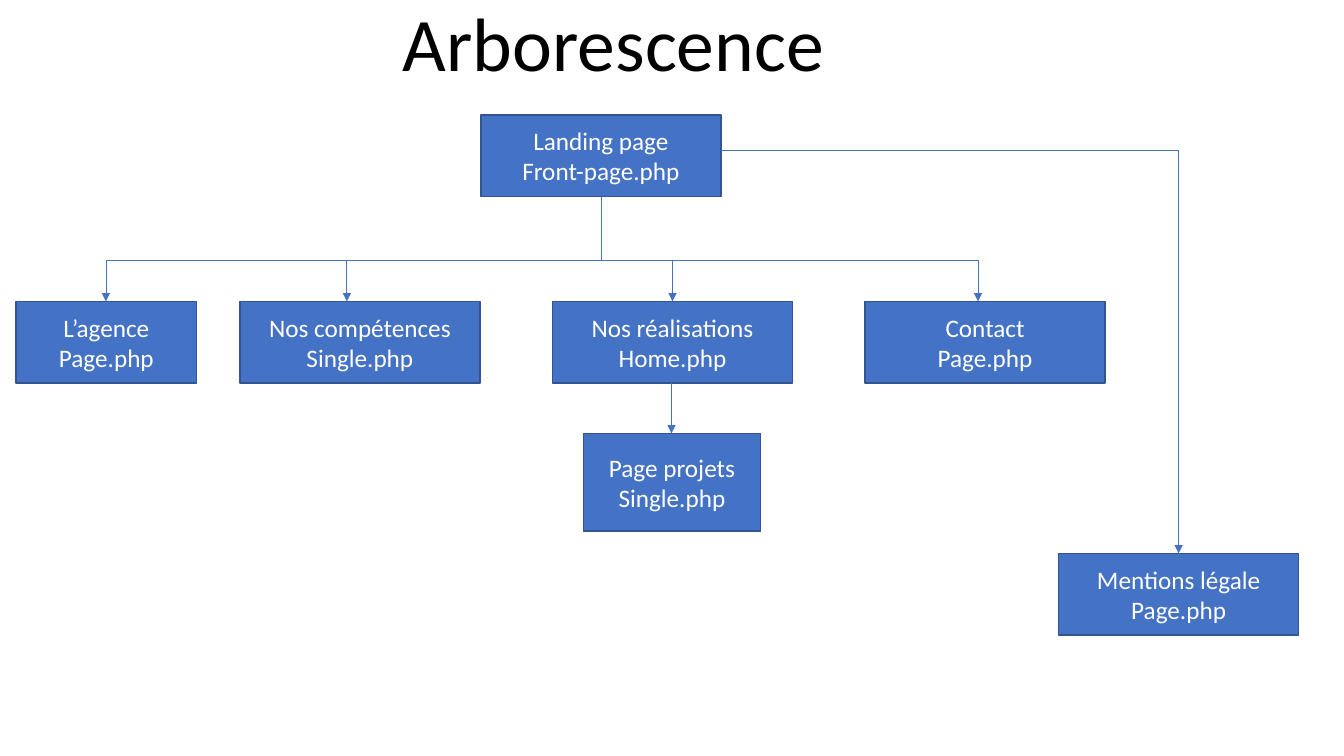
"""Build the site tree slide: page boxes joined by lines and arrows."""
import itertools

import pptx
import pptx.dml.color
import pptx.enum.shapes
import pptx.enum.text
import pptx.oxml
import pptx.oxml.ns
import pptx.util

Inches = pptx.util.Inches
FONT = "Calibri"
COLORS = {"fill": "4472C4", "border": "325491", "title": "000000", "label": "FFFFFF"}
TITLE = "Arborescence "

WIDTH, HEIGHT = 2.38, 0.81
MENU_TOP, BAR_TOP = 2.99, 2.58
LEGAL_TOP, LEGAL_CENTER, LEGAL_LINE_TOP = 5.49, 11.69, 1.49
LANDING_LEFT, LANDING_TOP = 4.77, 1.14
PROJECT_TOP, PROJECT_CENTER = 4.3, 6.66

PAGES = [
    (("Landing page", "Front-page.php"), LANDING_LEFT, LANDING_TOP, WIDTH, HEIGHT),
    (("L’agence", "Page.php"), 0.16, MENU_TOP, 1.79, HEIGHT),
    (("Nos compétences", "Single.php"), 2.38, MENU_TOP, WIDTH, HEIGHT),
    (("Nos réalisations", "Home.php"), 5.48, MENU_TOP, WIDTH, HEIGHT),
    (("Contact", "Page.php"), 8.58, MENU_TOP, WIDTH, HEIGHT),
    (("Page projets", "Single.php"), 5.79, PROJECT_TOP, 1.75, 0.97),
    (("Mentions légale", "Page.php"), 10.5, LEGAL_TOP, WIDTH, HEIGHT),
]
MENU_DROPS = [1.05, 3.44, 6.67, 9.7]


def color(name):
    return pptx.dml.color.RGBColor.from_string(COLORS[name])


def write(shape, lines, size, ink, anchor, spacing=1.0):
    frame = shape.text_frame
    frame.word_wrap = True
    frame.auto_size = pptx.enum.text.MSO_AUTO_SIZE.NONE
    frame.vertical_anchor = anchor
    frame.text = "\n".join(lines)
    for para in frame.paragraphs:
        para.alignment = pptx.enum.text.PP_ALIGN.CENTER
        para.line_spacing = spacing
        for span in para.runs:
            span.font.name = FONT
            span.font.size = pptx.util.Pt(size)
            span.font.color.rgb = color(ink)


def place(shape, left, top, width, height):
    shape.left, shape.top = Inches(left), Inches(top)
    shape.width, shape.height = Inches(width), Inches(height)


def add_page_box(slide, lines, *bounds):
    box = slide.shapes.add_shape(
        pptx.enum.shapes.MSO_SHAPE.RECTANGLE, *map(Inches, bounds))
    box.shadow.inherit = False
    box.fill.solid()
    box.fill.fore_color.rgb = color("fill")
    box.line.color.rgb = color("border")
    box.line.width = pptx.util.Pt(1)
    write(box, lines, 18, "label", pptx.enum.text.MSO_ANCHOR.MIDDLE)


def add_line(slide, start, end, arrow=False):
    line = slide.shapes.add_connector(
        pptx.enum.shapes.MSO_CONNECTOR.STRAIGHT, *map(Inches, start + end))
    line.line.color.rgb = color("fill")
    line.line.width = pptx.util.Pt(0.5)
    if arrow:
        head = pptx.oxml.parse_xml(
            f'<a:tailEnd {pptx.oxml.ns.nsdecls("a")} type="triangle"/>')
        line.line._get_or_add_ln().append(head)
    line._element.spPr.append(
        pptx.oxml.parse_xml(f'<a:effectLst {pptx.oxml.ns.nsdecls("a")}/>'))


deck = pptx.Presentation()
deck.slide_width, deck.slide_height = Inches(13.33), Inches(7.5)
slide = deck.slides.add_slide(deck.slide_layouts[5])

title = slide.shapes.title
place(title, 1.17, -0.05, 10, 0.97)
write(title, [TITLE], 54, "title", pptx.enum.text.MSO_ANCHOR.BOTTOM, spacing=0.9)

for lines, *bounds in PAGES:
    add_page_box(slide, lines, *bounds)

landing_center = LANDING_LEFT + WIDTH / 2
add_line(slide, (landing_center, LANDING_TOP + HEIGHT), (landing_center, BAR_TOP))
for left, right in itertools.pairwise(MENU_DROPS):
    add_line(slide, (left, BAR_TOP), (right, BAR_TOP))
for drop in MENU_DROPS:
    add_line(slide, (drop, BAR_TOP), (drop, MENU_TOP), arrow=True)

add_line(slide, (PROJECT_CENTER, MENU_TOP + HEIGHT), (PROJECT_CENTER, PROJECT_TOP), arrow=True)
add_line(slide, (LANDING_LEFT + WIDTH, LEGAL_LINE_TOP), (LEGAL_CENTER, LEGAL_LINE_TOP))
add_line(slide, (LEGAL_CENTER, LEGAL_LINE_TOP), (LEGAL_CENTER, LEGAL_TOP), arrow=True)

deck.save("out.pptx")
